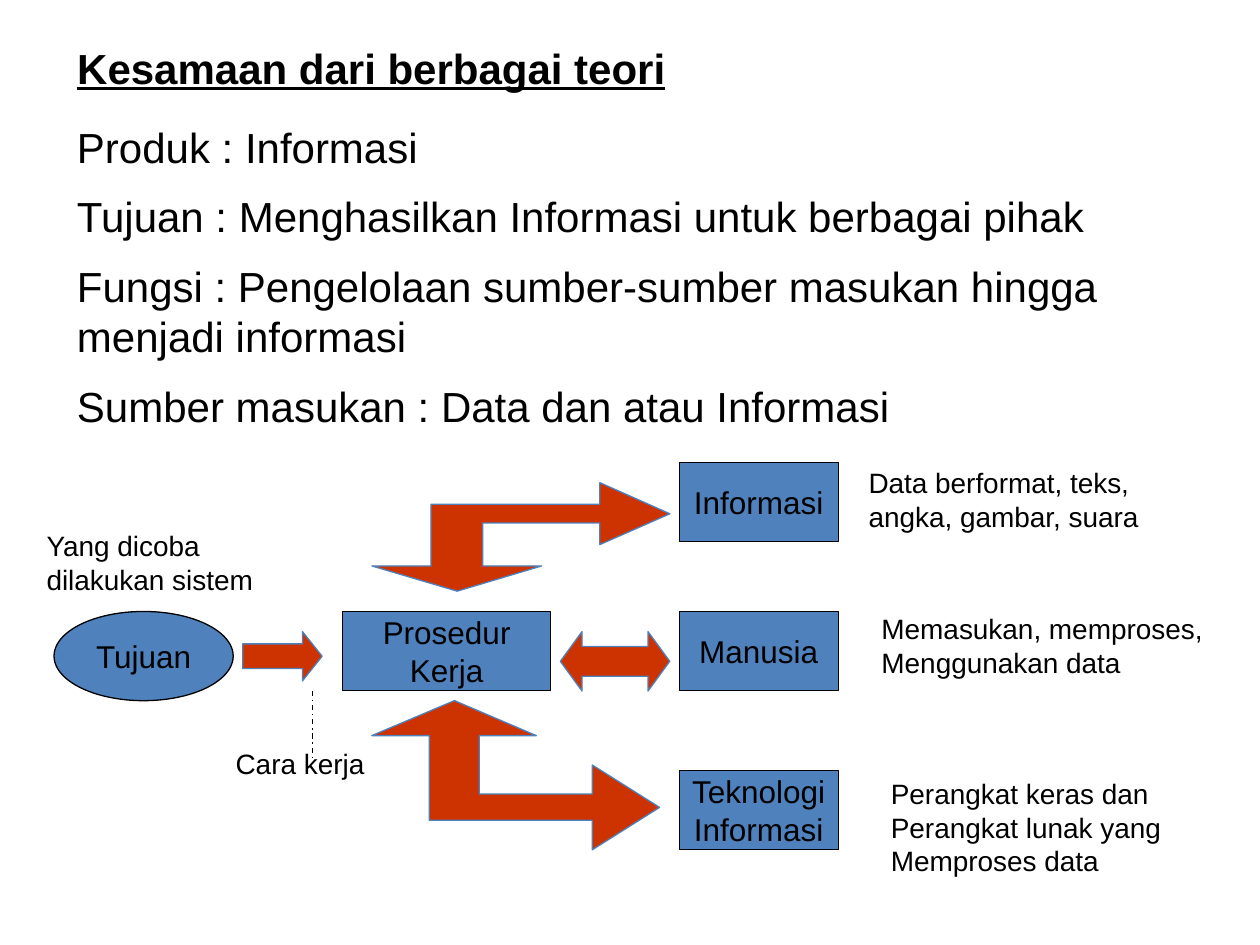
from pptx import Presentation
from pptx.dml.color import RGBColor
from pptx.enum import dml, shapes, text
from pptx.oxml import ns
from pptx.util import Pt
from lxml import etree

COLORS = {"black": "000000", "blue": "4F81BD", "red": "CC3300"}
FONT = "Arial"


def rgb(name):
    return RGBColor.from_string(COLORS[name])


def write(shape, words, size, wrap=False, align=text.PP_ALIGN.LEFT,
          anchor=text.MSO_ANCHOR.TOP, gap=0, strong=False):
    frame = shape.text_frame
    frame.text = words
    frame.word_wrap = wrap
    frame.auto_size = text.MSO_AUTO_SIZE.NONE
    frame.vertical_anchor = anchor
    for paragraph in frame.paragraphs:
        paragraph.alignment = align
        paragraph.space_before = Pt(0)
        paragraph.space_after = Pt(gap)
        for run in paragraph.runs:
            run.font.name = FONT
            run.font.size = Pt(size)
            run.font.color.rgb = rgb("black")
            if strong:
                run.font.bold = run.font.underline = True


def paint(shape, fill, line):
    shape.shadow.inherit = False
    shape.fill.solid()
    shape.fill.fore_color.rgb = rgb(fill)
    shape.line.color.rgb = rgb(line)
    shape.line.width = Pt(0.75)


def add_title(slide, box, words):
    title = slide.shapes.title
    title.left, title.top, title.width, title.height = map(Pt, box)
    write(title, words, 24, strong=True)


def add_text(slide, box, words, size=16, wrap=False, gap=0):
    note = slide.shapes.add_textbox(*map(Pt, box))
    write(note, words, size, wrap, gap=gap)


def add_node(slide, box, words, kind=shapes.MSO_SHAPE.RECTANGLE):
    node = slide.shapes.add_shape(kind, *map(Pt, box))
    paint(node, "blue", "black")
    write(node, words, 18, align=text.PP_ALIGN.CENTER,
          anchor=text.MSO_ANCHOR.MIDDLE)


def add_block_arrow(slide, box, kind, head):
    arrow = slide.shapes.add_shape(kind, *map(Pt, box))
    arrow.adjustments[0] = 0.5
    arrow.adjustments[1] = head
    paint(arrow, "red", "blue")


def add_elbow_arrow(slide, origin, outline):
    """Two-headed bent arrow; the outline is relative to its origin."""
    left, top = origin
    points = [(Pt(left + x), Pt(top + y)) for x, y in outline]
    builder = slide.shapes.build_freeform(*points[0])
    builder.add_line_segments(points[1:], close=True)
    paint(builder.convert_to_shape(), "red", "blue")


def add_dashed_line(slide, start, end):
    line = slide.shapes.add_connector(
        shapes.MSO_CONNECTOR.STRAIGHT, *map(Pt, start + end))
    line.line.color.rgb = rgb("black")
    line.line.width = Pt(0.75)
    line.line.dash_style = dml.MSO_LINE.DASH_DOT
    etree.SubElement(line._element.spPr, ns.qn("a:effectLst"))


def add_diagram(slide, box):
    left, top = box[:2]

    def at(x, y, *size):
        return (left + x, top + y, *size)

    # Goal, procedure and the three resources
    add_node(slide, at(0, 85.2, 102.4, 51), "Tujuan", shapes.MSO_SHAPE.OVAL)
    add_node(slide, at(164.9, 85.2, 118.9, 45.4), "Prosedur\nKerja")
    resources = [("Informasi", 0), ("Manusia", 85.2),
                 ("Teknologi\nInformasi", 176)]
    for resource, y in resources:
        add_node(slide, at(357.2, y, 90.9, 45.4), resource)

    # Arrows between them
    add_block_arrow(slide, at(107.8, 96.7, 45.4, 28.2),
                    shapes.MSO_SHAPE.RIGHT_ARROW, 0.4)
    add_block_arrow(slide, at(289.3, 96.7, 62.5, 34),
                    shapes.MSO_SHAPE.LEFT_RIGHT_ARROW, 0.365)
    add_elbow_arrow(slide, at(181.6, 11.6), [
        (48.8, 62), (97, 47.6), (63.4, 47.6), (63.4, 23), (130.3, 23),
        (130.3, 35.4), (170.3, 17.8), (130.3, 0), (130.3, 12.4),
        (33.8, 12.4), (33.8, 47.6), (0, 47.6)])
    add_elbow_arrow(slide, at(181.6, 136.2), [
        (164.4, 61), (126, 36.8), (126, 53.4), (61.4, 53.4), (61.4, 20),
        (94, 20), (47.2, 0), (0, 20), (32.8, 20), (32.8, 68.4),
        (126, 68.4), (126, 85.2)])

    # Remarks
    add_text(slide, at(-11.4, 34.3, 154.8, 45.8),
             "Yang dicoba dilakukan sistem", wrap=True)
    add_text(slide, at(96.7, 159, 88, 26.6), "Cara kerja")
    add_dashed_line(slide, at(147.5, 130.6), at(147.5, 170))
    remarks = [
        (458.3, -1.7, 169.2, 46, "Data berformat, teks,\nangka, gambar, suara"),
        (465.7, 81.7, 198, 46, "Memasukan, memproses,\nMenggunakan data"),
        (471.1, 176.2, 168.5, 64.8,
         "Perangkat keras dan\nPerangkat lunak yang\nMemproses data"),
    ]
    for x, y, width, height, words in remarks:
        add_text(slide, at(x, y, width, height), words)


def main():
    deck = Presentation()
    deck.slide_width, deck.slide_height = Pt(720), Pt(540)
    slide = deck.slides.add_slide(deck.slide_layouts[5])

    # Heading and statements share one column
    add_title(slide, (36.9, 20.4, 646.6, 36), "Kesamaan dari berbagai teori")
    add_text(slide, (36.9, 65.6, 646.6, 212.4), "\n".join([
        "Produk : Informasi",
        "Tujuan : Menghasilkan Informasi untuk berbagai pihak",
        "Fungsi : Pengelolaan sumber-sumber masukan hingga menjadi informasi",
        "Sumber masukan : Data dan atau Informasi",
    ]), size=24, wrap=True, gap=11)
    add_diagram(slide, (30.9, 264.2, 660, 240))

    deck.save("out.pptx")


if __name__ == "__main__":
    main()
